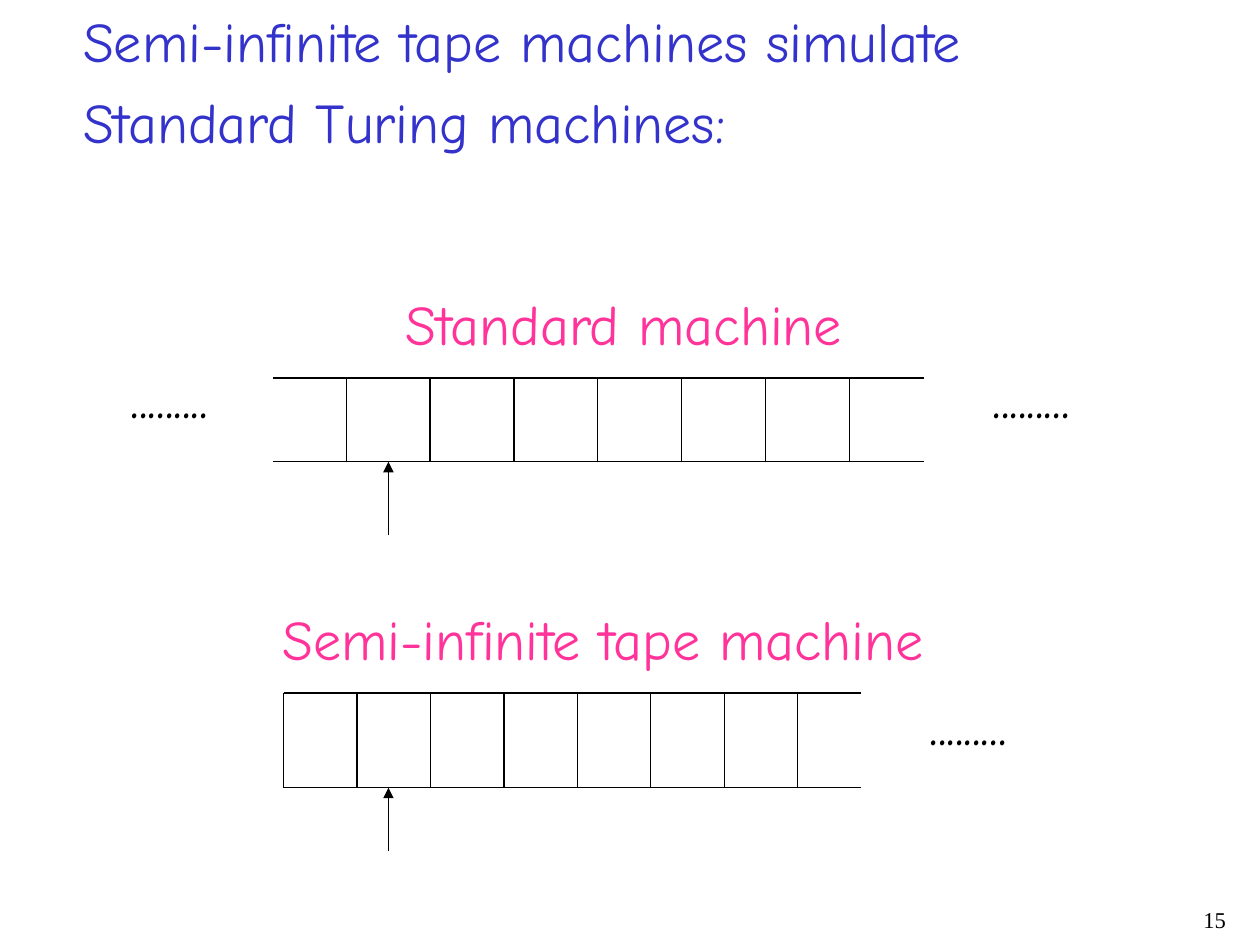
from dataclasses import dataclass

from lxml import etree
from pptx import Presentation
from pptx.dml.color import RGBColor
from pptx.enum.shapes import MSO_CONNECTOR
from pptx.enum.text import MSO_ANCHOR, MSO_AUTO_SIZE, PP_ALIGN
from pptx.oxml.ns import qn
from pptx.util import Cm, Pt

STRAIGHT = MSO_CONNECTOR.STRAIGHT
TOP = MSO_ANCHOR.TOP
NO_AUTOFIT = MSO_AUTO_SIZE.NONE
LEFT, RIGHT = PP_ALIGN.LEFT, PP_ALIGN.RIGHT
TITLE_ONLY = 5


@dataclass(frozen=True)
class Theme:
    title: RGBColor = RGBColor(0x33, 0x33, 0xCC)
    caption: RGBColor = RGBColor(0xFF, 0x33, 0x99)
    ink: RGBColor = RGBColor(0, 0, 0)
    font: str = "Comic Neue"
    number_font: str = "Times New Roman"
    size: Pt = Pt(32)
    number_size: Pt = Pt(12.9)
    space_before: Pt = Pt(8)
    line: Pt = Pt(0.75)


@dataclass(frozen=True)
class Tape:
    """A tape; offsets are in centimetres from its top left corner."""
    caption: str
    caption_left: float
    caption_width: float
    first_wall: float
    wall_count: int
    pitch: float
    head: float
    head_length: float
    dots_lefts: tuple
    dots_top: float


THEME = Theme()
CAPTION_RISE = 1.9
TEXT_HEIGHT = 1.63
DOTS = "........."
DOTS_WIDTH = 2.06

STANDARD = Tape("Standard machine", 2.42, 9.37, 1.48, 7, 1.69,
                2.33, 1.48, (-3.11, 14.26), -0.43)
SEMI_INFINITE = Tape("Semi-infinite tape machine", -0.28, 13.51, 0, 8, 1.48,
                     2.11, 1.27, (12.77,), -0.2)


def place(shape, box):
    shape.left, shape.top, shape.width, shape.height = map(Cm, box)


def format_text(shape, lines, color):
    frame = shape.text_frame
    frame.text = "\n".join(lines)
    frame.word_wrap = False
    frame.auto_size = NO_AUTOFIT
    frame.vertical_anchor = TOP
    for paragraph in frame.paragraphs:
        paragraph.alignment = LEFT
        paragraph.space_before = THEME.space_before
        paragraph.font.name = THEME.font
        paragraph.font.size = THEME.size
        paragraph.font.color.rgb = color


def add_label(slide, text, box, color):
    format_text(slide.shapes.add_textbox(*map(Cm, box)), [text], color)


def add_line(slide, x1, y1, x2, y2, arrow=False):
    line = slide.shapes.add_connector(STRAIGHT, *map(Cm, (x1, y1, x2, y2)))
    line.line.color.rgb = THEME.ink
    line.line.width = THEME.line
    properties = line._element.spPr
    if arrow:
        outline = line.line._get_or_add_ln()
        etree.SubElement(outline, qn("a:tailEnd"), type="triangle")
    etree.SubElement(properties, qn("a:effectLst"))


def add_title(slide, box, lines):
    title = slide.shapes.title
    place(title, box)
    format_text(title, lines, THEME.title)


def add_tape(slide, box, tape):
    left, top, width, height = box
    bottom = top + height

    # Caption above the tape
    add_label(slide, tape.caption,
              (left + tape.caption_left, top - CAPTION_RISE,
               tape.caption_width, TEXT_HEIGHT), THEME.caption)

    # Long edges and cell walls
    for y in (top, bottom):
        add_line(slide, left, y, left + width, y)
    for index in range(tape.wall_count):
        x = left + tape.first_wall + index * tape.pitch
        add_line(slide, x, top, x, bottom)

    # Read-write head
    head = left + tape.head
    add_line(slide, head, bottom + tape.head_length, head, bottom, arrow=True)

    # Dots where the tape goes on
    for offset in tape.dots_lefts:
        add_label(slide, DOTS, (left + offset, top + tape.dots_top,
                                DOTS_WIDTH, TEXT_HEIGHT), THEME.ink)


def add_slide_number(slide, box, number):
    frame = slide.shapes.add_textbox(*map(Cm, box)).text_frame
    frame.word_wrap = True
    paragraph = frame.paragraphs[0]
    paragraph.text = number
    paragraph.alignment = RIGHT
    paragraph.line_spacing = 0.9
    paragraph.font.name = THEME.number_font
    paragraph.font.size = THEME.number_size
    paragraph.font.color.rgb = THEME.ink


def main():
    presentation = Presentation()
    presentation.slide_width, presentation.slide_height = Cm(25.4), Cm(19.05)
    slide = presentation.slides.add_slide(
        presentation.slide_layouts[TITLE_ONLY])
    add_title(slide, (1.42, 0, 18.31, 3.25),
              ["Semi-infinite tape machines simulate",
               "Standard Turing machines:"])
    add_tape(slide, (5.5, 7.62, 13.13, 1.69), STANDARD)
    add_tape(slide, (5.72, 13.97, 11.64, 1.91), SEMI_INFINITE)
    add_slide_number(slide, (19.68, 18.21, 5.28, 0.84), "15")
    presentation.save("out.pptx")


if __name__ == "__main__":
    main()
